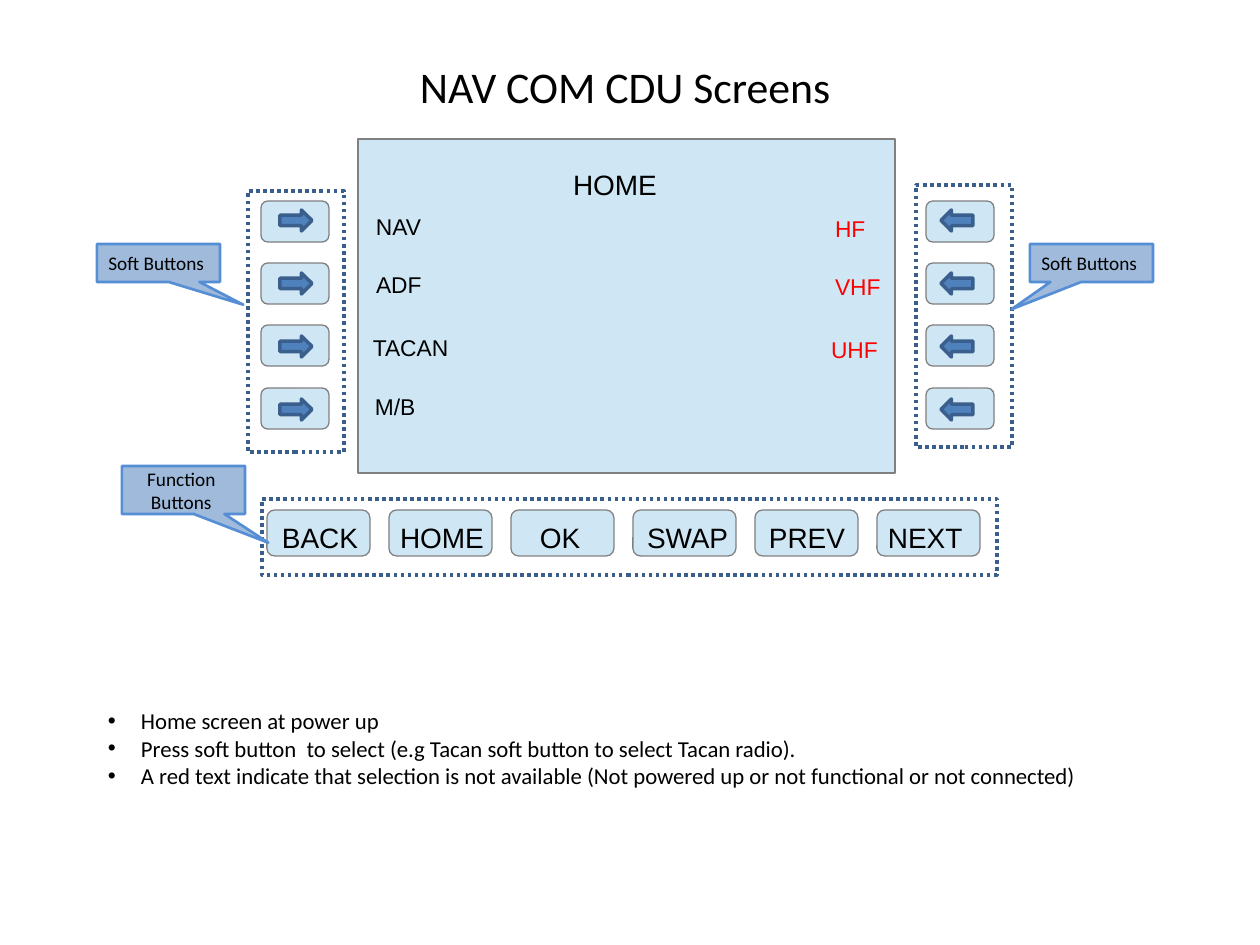
from lxml import etree
from pptx import Presentation, util as u
from pptx.dml.color import RGBColor
from pptx.enum import dml, shapes, text
from pptx.oxml.ns import qn

# Content
TITLE = "NAV COM CDU Screens"
NOTES = [
    "Home screen at power up",
    "Press soft button  to select (e.g Tacan soft button to select Tacan radio).",
    "A red text indicate that selection is not available "
    "(Not powered up or not functional or not connected)",
]
BLACK = RGBColor(0, 0, 0)
RED = RGBColor(0xFF, 0, 0)
PANEL = RGBColor(0xCF, 0xE7, 0xF5)
GREY = RGBColor(0x80, 0x80, 0x80)
BLUE = RGBColor(0x4F, 0x81, 0xBD)
NAVY = RGBColor(0x3A, 0x5F, 0x8C)
SKY = RGBColor(0x55, 0x8E, 0xD5)

# Labels: text, (left, top, width, height), size, colour
SCREEN_LABELS = [
    ("HOME", (562, 163, 107, 44), 16, BLACK),
    ("NAV", (365, 208, 74, 38), 13, BLACK),
    ("ADF", (365, 266, 68, 38), 13, BLACK),
    ("TACAN", (362, 329, 98, 38), 13, BLACK),
    ("M/B", (364, 388, 63, 38), 13, BLACK),
    ("HF", (824, 210, 59, 38), 13, RED),
    ("VHF", (824, 268, 68, 38), 13, RED),
    ("UHF", (820, 331, 71, 38), 13, RED),
]
# Function keys: label, label left, label width
FUNCTION_KEYS = [("BACK", 271, 100), ("HOME", 389, 107), ("OK", 529, 63),
                 ("SWAP", 636, 105), ("PREV", 758, 100), ("NEXT", 877, 98)]
# Soft button columns: button left, arrow left, arrow shape
SOFT_COLUMNS = [(261, 280, shapes.MSO_SHAPE.RIGHT_ARROW),
                (926, 941, shapes.MSO_SHAPE.LEFT_ARROW)]
DOTTED_FRAMES = [(248, 191, 96, 261), (916, 185, 96, 262), (262, 499, 735, 76)]
# Callouts: text, box, pointer offset
CALLOUTS = [("Soft Buttons ", (97, 244, 123, 38), (0.69, 1.1)),
            ("Function  Buttons ", (122, 466, 123, 48), (0.69, 1.1)),
            ("Soft Buttons ", (1030, 244, 123, 38), (-0.65, 1.22))]


def px(n):
    return u.Emu(round(n * 914400 / 126))


def box_emu(box):
    return [px(n) for n in box]


def write(frame, lines, size, font="Calibri", color=BLACK, align=None,
          anchor=text.MSO_ANCHOR.TOP, wrap=True, margins=(11, 6)):
    frame.word_wrap = wrap
    frame.auto_size = text.MSO_AUTO_SIZE.NONE
    frame.vertical_anchor = anchor
    frame.margin_left = frame.margin_right = px(margins[0])
    frame.margin_top = frame.margin_bottom = px(margins[1])
    for i, line in enumerate(lines):
        para = frame.paragraphs[0] if i == 0 else frame.add_paragraph()
        para.alignment = align
        para.space_before = u.Pt(0)
        run = para.add_run()
        run.text = line
        run.font.size = u.Pt(size)
        run.font.name = font
        run.font.color.rgb = color


def draw(slide, kind, box, line, width, fill=None, dash=None):
    shape = slide.shapes.add_shape(kind, *box_emu(box))
    shape.shadow.inherit = False
    if fill is None:
        shape.fill.background()
    else:
        shape.fill.solid()
        shape.fill.fore_color.rgb = fill
    shape.line.color.rgb = line
    shape.line.width = u.Pt(width)
    if dash:
        shape.line.dash_style = dash
    return shape


def add_label(slide, label, box, size, color):
    frame = slide.shapes.add_textbox(*box_emu(box)).text_frame
    write(frame, [label], size, font="Arial", color=color, wrap=False,
          margins=(11, 5))


def place(placeholder, box):
    (placeholder.left, placeholder.top,
     placeholder.width, placeholder.height) = box_emu(box)


def main():
    prs = Presentation()
    prs.slide_width, prs.slide_height = px(1260), px(945)
    slide = prs.slides.add_slide(prs.slide_layouts[1])
    title, notes = slide.placeholders
    kinds = shapes.MSO_SHAPE

    # Title and bulleted notes
    place(title, (58, 54, 1134, 118))
    write(title.text_frame, [TITLE], 25, align=text.PP_ALIGN.CENTER)
    place(notes, (97, 701, 1013, 150))
    write(notes.text_frame, NOTES, 13)
    for para in notes.text_frame.paragraphs:
        props = para._p.get_or_add_pPr()
        props.set("marL", str(px(33)))
        props.set("indent", str(-px(33)))

    # Display screen
    draw(slide, kinds.RECTANGLE, (358, 139, 537, 334), GREY, 0, PANEL)
    for label in SCREEN_LABELS:
        add_label(slide, *label)

    # Soft buttons with arrows
    for button_left, arrow_left, arrow in SOFT_COLUMNS:
        for row in range(4):
            button_top = 201 + row * 187 // 3
            draw(slide, kinds.ROUNDED_RECTANGLE,
                 (button_left, button_top, 68, 41), GREY, 0, PANEL)
            draw(slide, arrow, (arrow_left, 210 + row * 63, 32, 21),
                 NAVY, 2, BLUE)

    # Function keys
    for i, (label, left, width) in enumerate(FUNCTION_KEYS):
        draw(slide, kinds.ROUNDED_RECTANGLE, (267 + 122 * i, 510, 103, 46),
             GREY, 0, PANEL)
        add_label(slide, label, (left, 515, width, 44), 16, BLACK)

    # Dotted group frames
    for box in DOTTED_FRAMES:
        draw(slide, kinds.RECTANGLE, box, NAVY, 2,
             dash=dml.MSO_LINE.ROUND_DOT)

    # Translucent callouts
    for label, box, pointer in CALLOUTS:
        callout = draw(slide, kinds.RECTANGULAR_CALLOUT, box, SKY, 1.5, BLUE)
        callout.adjustments[0], callout.adjustments[1] = pointer
        fill_color = callout._element.spPr.find(qn("a:solidFill"))[0]
        etree.SubElement(fill_color, qn("a:alpha")).set("val", "54000")
        write(callout.text_frame, [label], 11, align=text.PP_ALIGN.CENTER,
              anchor=text.MSO_ANCHOR.MIDDLE)

    prs.save("out.pptx")


if __name__ == "__main__":
    main()
